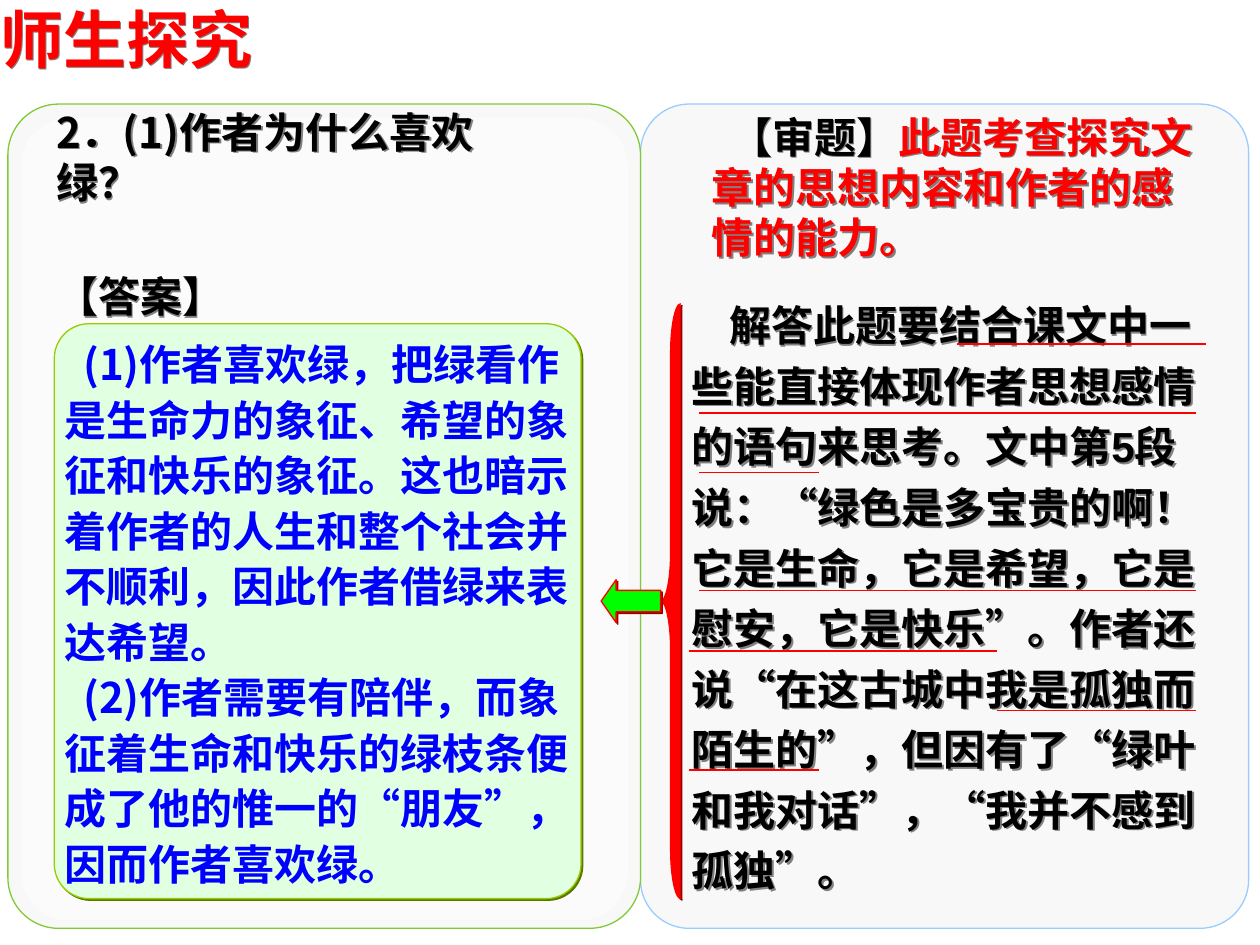
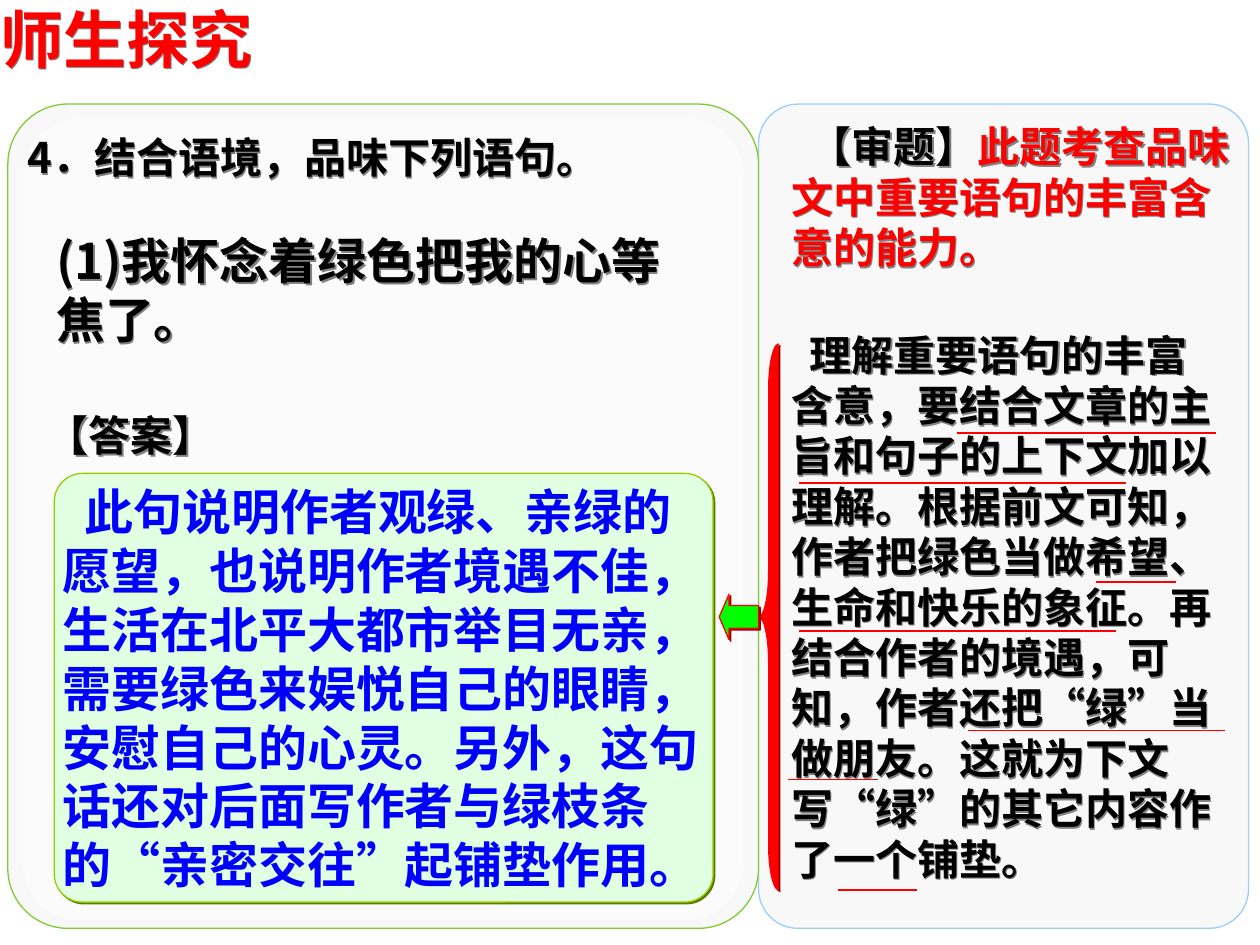
"""Build two reading-lesson slides, each with a question, its answer and an analysis."""
from lxml.etree import SubElement
from pptx import Presentation
from pptx.dml.color import RGBColor
from pptx.enum.dml import MSO_THEME_COLOR
from pptx.enum.lang import MSO_LANGUAGE_ID as Language
from pptx.enum.shapes import MSO_CONNECTOR as Connector, MSO_SHAPE as Shape
from pptx.enum.text import MSO_ANCHOR as Anchor, MSO_AUTO_SIZE as AutoSize, PP_ALIGN as Align
from pptx.oxml.ns import qn
from pptx.util import Pt

COLORS = {
    "black": "000000", "red": "FF0000", "blue": "0000FF", "white": "FFFFFF",
    "panel": "F8F8F8", "left_edge": "80CB35", "right_edge": "99CCFF",
    "card": "E1FFE1", "card_edge": "99CC00", "card_shadow": "5B7900",
    "arrow": "00FF00", "red_shadow": "980000", "text_shadow": "808080",
}
CJK = "Noto Sans CJK SC"
LATIN = "Arial"
TITLE = "师生探究"
ANSWER_LABEL = "【答案】"
FOCUS_LABEL = "【审题】"
PANEL_LEFT, PANEL_RIGHT, PANEL_TOP, PANEL_HEIGHT = 4.5, 713.5, 59.5, 471
BRACE_WIDTH = 11.5
SPACE = 0.224

SLIDES = [
    {
        "split": 366,
        "questions": [("2．(1)作者为什么喜欢绿？", (25, 57, 295, 65), 24)],
        "label_box": (25, 151, 136, 36),
        "answer": [
            "(1)作者喜欢绿，把绿看作是生命力的象征、希望的象征和快乐的象征。"
            "这也暗示着作者的人生和整个社会并不顺利，因此作者借绿来表达希望。",
            "(2)作者需要有陪伴，而象征着生命和快乐的绿枝条便成了他的惟一的“朋友”，因而作者喜欢绿。",
        ],
        "answer_box": (31, 185, 301, 328.5), "answer_size": 24, "answer_spacing": 1.1,
        "focus": "此题考查探究文章的思想内容和作者的感情的能力。",
        "focus_box": (399.5, 60, 294.5, 93.5),
        "guidance": "解答此题要结合课文中一些能直接体现作者思想感情的语句来思考。文中第5段说："
                    "“绿色是多宝贵的啊！它是生命，它是希望，它是慰安，它是快乐”。"
                    "作者还说“在这古城中我是孤独而陌生的”，但因有了“绿叶和我对话”，“我并不感到孤独”。",
        "guidance_box": (388, 162, 312, 353),
        "guidance_style": {"font": LATIN, "spacing": 1.2, "spaces": 4},
        "underlines": [
            (547, 689, 196.5), (399.5, 683.5, 236), (399.5, 468, 270), (399.5, 683.5, 337.5),
            (394, 569.5, 372), (569.5, 683.5, 406), (394, 468, 440),
        ],
        "brace": (377.5, 173.5, 340), "arrow": (34, 24.5, 0.35),
    },
    {
        "split": 433.5,
        "questions": [
            ("4．结合语境，品味下列语句。", (8.5, 71.5, 351.5, 36), 24),
            ("(1)我怀念着绿色把我的心等焦了。", (25, 128, 380, 75), 28),
        ],
        "label_box": (19.5, 230.5, 136, 36),
        "answer": [
            "此句说明作者观绿、亲绿的愿望，也说明作者境遇不佳，生活在北平大都市举目无亲，"
            "需要绿色来娱悦自己的眼睛，安慰自己的心灵。"
            "另外，这句话还对后面写作者与绿枝条的“亲密交往”起铺垫作用。",
        ],
        "answer_box": (31, 270.5, 376.5, 245), "answer_size": 28, "answer_spacing": 1,
        "focus": "此题考查品味文中重要语句的丰富含意的能力。",
        "focus_box": (445, 65.5, 266.5, 93.5),
        "guidance": "理解重要语句的丰富含意，要结合文章的主旨和句子的上下文加以理解。"
                    "根据前文可知，作者把绿色当做希望、生命和快乐的象征。"
                    "再结合作者的境遇，可知，作者还把“绿”当做朋友。这就为下文写“绿”的其它内容作了一个铺垫。",
        "guidance_box": (445, 184.5, 260.5, 324),
        "guidance_style": {"spaces": 2},
        "underlines": [
            (547, 695, 247.5), (456.5, 643.5, 276), (626.5, 672, 332.5), (456.5, 638, 360.5),
            (553, 700, 417.5), (450.5, 502, 445.5), (479, 524, 508.5),
        ],
        "brace": (433.5, 196.5, 312), "arrow": (22.5, 26, 0.25),
    },
]


def rgb(name):
    return RGBColor.from_string(COLORS[name])


def set_shadow(shape, color=None):
    shape.shadow.inherit = False
    if color:
        effects = shape._element.spPr.find(qn("a:effectLst"))
        shadow = SubElement(effects, qn("a:outerShdw"), blurRad="0", dist=str(Pt(1.4)),
                            dir="2700000", algn="ctr", rotWithShape="0")
        SubElement(shadow, qn("a:srgbClr"), val=COLORS[color])


def add_preset(slide, kind, box, fill, edge=None, adjustments=(), shadow=None):
    shape = slide.shapes.add_shape(kind, *map(Pt, box))
    for index, value in enumerate(adjustments):
        shape.adjustments[index] = value
    shape.fill.solid()
    shape.fill.fore_color.rgb = rgb(fill)
    if edge:
        shape.line.color.rgb = rgb(edge)
        shape.line.width = Pt(0.75)
    else:
        shape.line.fill.background()
    set_shadow(shape, shadow)
    return shape


def write(shape, paragraphs, size, font=CJK, spacing=1, spaces=0, insets=(7.2, 3.6),
          anchor=Anchor.MIDDLE):
    frame = shape.text_frame
    frame.word_wrap = True
    frame.auto_size = AutoSize.NONE
    frame.vertical_anchor = anchor
    frame.margin_left = frame.margin_right = Pt(insets[0])
    frame.margin_top = frame.margin_bottom = Pt(insets[1])
    for index, parts in enumerate(paragraphs):
        paragraph = frame.add_paragraph() if index else frame.paragraphs[0]
        paragraph.alignment = Align.LEFT
        paragraph.line_spacing = Pt(round(size * 1.2 * spacing, 1))
        paragraph.space_before = Pt(0)
        properties = paragraph._p.get_or_add_pPr()
        properties.set("marL", "0")
        properties.set("indent", str(Pt(size * SPACE * spaces)))
        properties.set("hangingPunct", "0")
        for text, color in parts:
            run = paragraph.add_run()
            run.text = text
            run.font.color.rgb = rgb(color)
            run.font.language_id = Language.SIMPLIFIED_CHINESE
            run.font.size = Pt(size)
            run.font.bold = True
            run.font.name = font
            latin = run._r.rPr.find(qn("a:latin"))
            latin.addnext(latin.makeelement(qn("a:ea"), {"typeface": CJK}))


def add_text(slide, box, parts, size=24, **style):
    text_box = slide.shapes.add_textbox(*map(Pt, box))
    set_shadow(text_box, "text_shadow")
    write(text_box, [parts], size, **style)


def add_panels(slide, split):
    width = split - PANEL_LEFT
    inset = width * 0.02
    right = (split, PANEL_TOP, PANEL_RIGHT - split, PANEL_HEIGHT)
    left = (PANEL_LEFT, PANEL_TOP, width, PANEL_HEIGHT)
    inner = (PANEL_LEFT + inset, PANEL_TOP + 8, width - 2 * inset, PANEL_HEIGHT - 12.5)
    add_preset(slide, Shape.ROUNDED_RECTANGLE, right, "panel", "right_edge", [0.08])
    add_preset(slide, Shape.ROUNDED_RECTANGLE, left, "panel", "left_edge", [0.08])
    glow = add_preset(slide, Shape.ROUNDED_RECTANGLE, inner, "white", adjustments=[0.08])
    color = glow._element.spPr.find(qn("a:solidFill")).find(qn("a:srgbClr"))
    SubElement(color, qn("a:alpha"), val="50000")


def add_underline(slide, start, end, top):
    line = slide.shapes.add_connector(Connector.STRAIGHT, Pt(start), Pt(top), Pt(end), Pt(top))
    line.line.color.rgb = rgb("red")
    line.line.width = Pt(1)
    SubElement(line._element.spPr, qn("a:effectLst"))


def add_pointer(slide, brace, arrow):
    left, top, height = brace
    width, thickness, head = arrow
    add_preset(slide, Shape.LEFT_BRACE, (left, top, BRACE_WIDTH, height), "red", "red",
               [height / 12 / BRACE_WIDTH, 0.5], "red_shadow")
    arrow_box = (left - width, top + (height - thickness) / 2, width, thickness)
    add_preset(slide, Shape.LEFT_ARROW, arrow_box, "arrow", "red", [0.5, head], "red_shadow")


def build_slide(presentation, content):
    slide = presentation.slides.add_slide(presentation.slide_layouts[5])
    slide.background.fill.solid()
    slide.background.fill.fore_color.theme_color = MSO_THEME_COLOR.BACKGROUND_1
    title = slide.shapes.title
    title.left, title.top, title.width, title.height = map(Pt, (0, 0, 241, 43))
    set_shadow(title, "text_shadow")
    write(title, [[(TITLE, "red")]], 36, font=LATIN, insets=(0, 0), anchor=Anchor.TOP)
    add_panels(slide, content["split"])
    for text, box, size in content["questions"]:
        add_text(slide, box, [(text, "black")], size)
    card = add_preset(slide, Shape.ROUNDED_RECTANGLE, content["answer_box"], "card", "card_edge",
                      [0.066], "card_shadow")
    write(card, [[(text, "blue")] for text in content["answer"]], content["answer_size"],
          spacing=content["answer_spacing"], spaces=2, insets=(0, 0))
    add_text(slide, content["guidance_box"], [(content["guidance"], "black")],
             **content["guidance_style"])
    add_text(slide, content["focus_box"], [(FOCUS_LABEL, "black"), (content["focus"], "red")],
             spaces=2)
    for underline in content["underlines"]:
        add_underline(slide, *underline)
    add_pointer(slide, content["brace"], content["arrow"])
    add_text(slide, content["label_box"], [(ANSWER_LABEL, "black")], font=LATIN)


def main():
    presentation = Presentation()
    presentation.slide_width, presentation.slide_height = Pt(720), Pt(540)
    for content in SLIDES:
        build_slide(presentation, content)
    presentation.save("out.pptx")


if __name__ == "__main__":
    main()
